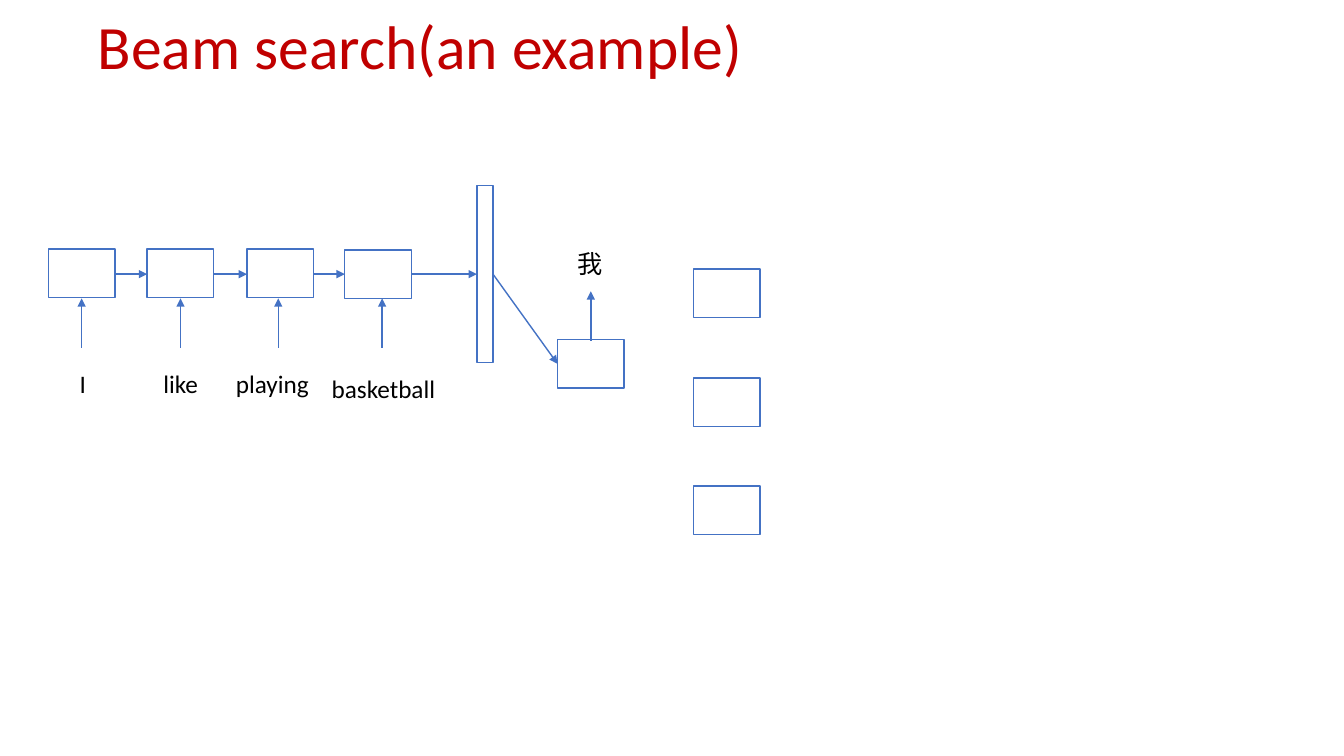
from pptx import Presentation
from pptx.dml.color import RGBColor
from pptx.enum.shapes import MSO_CONNECTOR, MSO_SHAPE
from pptx.enum.text import MSO_ANCHOR, PP_ALIGN
from pptx.oxml.ns import qn
from pptx.util import Inches, Pt
from lxml.etree import SubElement

BLUE, RED, BLACK, WHITE = "4472C4", "C00000", "000000", "FFFFFF"
CELL_WIDTH, CELL_HEIGHT = 0.66, 0.48


def color(value):
    return RGBColor.from_string(value)


def write(frame, text, size, ink):
    frame.margin_left = frame.margin_right = Inches(0.05)
    frame.margin_top = frame.margin_bottom = Inches(0.05)
    frame.text = text
    para = frame.paragraphs[0]
    para.alignment = PP_ALIGN.LEFT
    para.font.name = "Calibri"
    para.font.size = Pt(size)
    para.font.color.rgb = color(ink)
    return para


deck = Presentation()
deck.slide_width, deck.slide_height = Inches(13.33), Inches(7.5)
page = deck.slides.add_slide(deck.slide_layouts[5])

# Title
title = page.shapes.title
title.left, title.top = Inches(0.92), Inches(-0.23)
title.width, title.height = Inches(11.5), Inches(1.45)
title.text_frame.vertical_anchor = MSO_ANCHOR.MIDDLE
title.text_frame.word_wrap = True
write(title.text_frame, "Beam search(an example)", 44, RED).line_spacing = 0.9

# Encoder cells, first decoder cell, beam candidates and context vector
encoder = [(0.48, 2.47), (1.46, 2.47), (2.45, 2.47), (3.42, 2.48)]
decoder = (5.53, 3.37)
candidates = [(6.88, top) for top in (2.67, 3.75, 4.82)]
cells = [(left, top, CELL_WIDTH, CELL_HEIGHT)
         for left, top in encoder + [decoder] + candidates]
context = (4.73, 1.84, 0.16, 1.76)
for bounds in cells + [context]:
    box = page.shapes.add_shape(MSO_SHAPE.RECTANGLE, *map(Inches, bounds))
    box.shadow.inherit = False
    box.fill.solid()
    box.fill.fore_color.rgb = color(WHITE)
    box.line.color.rgb = color(BLUE)
    box.line.width = Pt(1)

# Arrows: along the encoder, into the cells, then to the output
flow_y = 2.72
stops = [left for left, top in encoder] + [context[0]]
arrows = [(left + CELL_WIDTH, flow_y, following, flow_y)
          for left, following in zip(stops, stops[1:])]
arrows += [(x, 3.45, x, 2.96) for x in (0.81, 1.79, 2.76, 3.79)]
arrows += [(4.89, flow_y, 5.53, 3.61), (5.86, 3.38, 5.86, 2.89)]
for ends in arrows:
    arrow = page.shapes.add_connector(MSO_CONNECTOR.STRAIGHT, *map(Inches, ends))
    arrow.line.color.rgb = color(BLUE)
    arrow.line.width = Pt(1)
    SubElement(arrow.line._get_or_add_ln(), qn("a:tailEnd"), type="triangle")
    SubElement(arrow._element.spPr, qn("a:effectLst"))

# Source words and first translated word
words = [("I", 0.74, 3.61, 0.33), ("like", 1.57, 3.61, 0.56),
         ("playing", 2.29, 3.61, 0.93), ("basketball", 3.24, 3.65, 1.36),
         ("我", 5.68, 2.41, 0.5)]
for word, left, top, width in words:
    label = page.shapes.add_textbox(Inches(left), Inches(top), Inches(width), Inches(0.4))
    label.text_frame.word_wrap = True
    write(label.text_frame, word, 18, BLACK)

deck.save("out.pptx")
